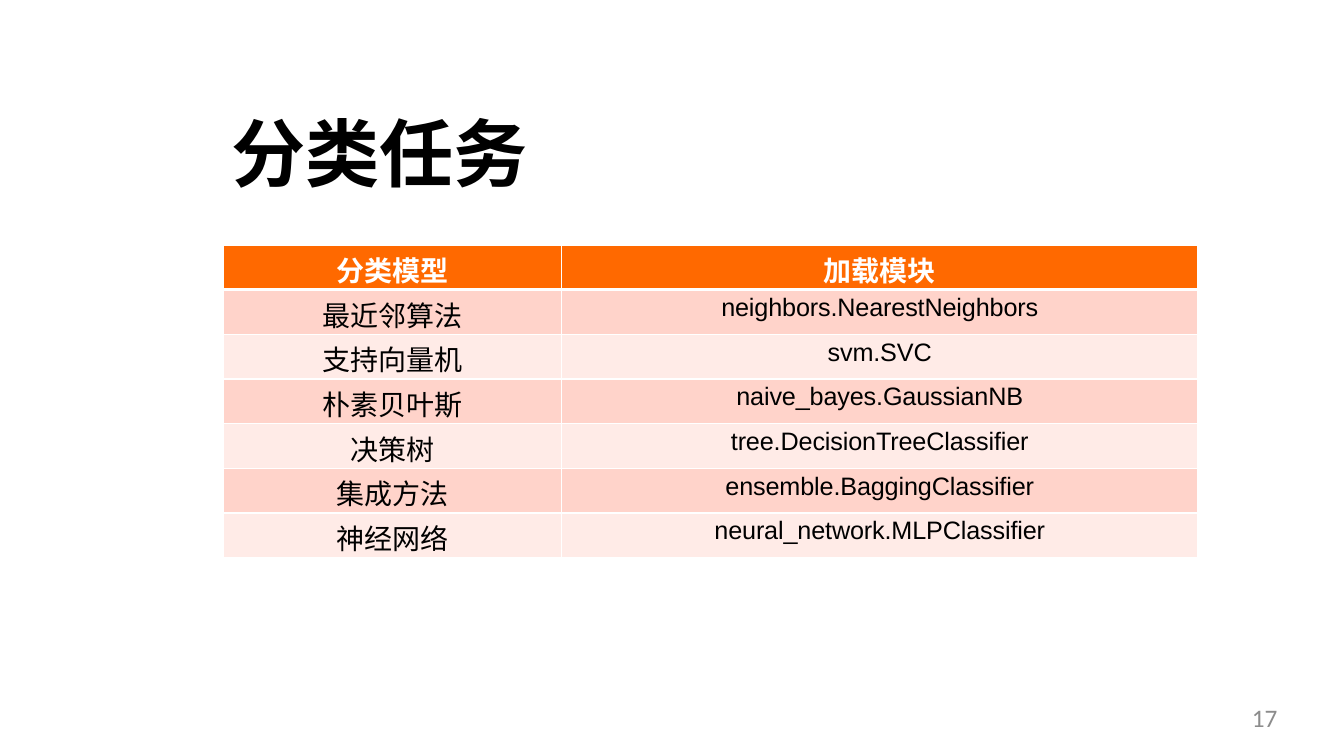
from dataclasses import dataclass

import pptx
import pptx.dml.color
import pptx.enum.text
import pptx.oxml
import pptx.oxml.ns
import pptx.util
from pptx.util import Inches


@dataclass(frozen=True)
class Theme:
    header: str = "FF6900"
    bands: tuple = ("FFD3CA", "FFEBE7")
    white: str = "FFFFFF"
    black: str = "000000"
    gray: str = "8C8C8C"
    cjk: str = "Noto Sans CJK SC"
    latin: str = "Arial"
    number: str = "Calibri"
    title_size: int = 53
    model_size: int = 20
    small_size: int = 18


THEME = Theme()
ALIGN = pptx.enum.text.PP_ALIGN
ANCHOR = pptx.enum.text.MSO_ANCHOR

MODELS = [
    ("分类模型", "加载模块"),
    ("最近邻算法", "neighbors.NearestNeighbors"),
    ("支持向量机", "svm.SVC"),
    ("朴素贝叶斯", "naive_bayes.GaussianNB"),
    ("决策树", "tree.DecisionTreeClassifier"),
    ("集成方法", "ensemble.BaggingClassifier"),
    ("神经网络", "neural_network.MLPClassifier"),
]


def write(tf, text, size, font, color, bold=False, align=ALIGN.LEFT, spacing=0):
    tf.text = text
    p = tf.paragraphs[0]
    p.alignment = align
    r = p.runs[0]
    r.font.size = pptx.util.Pt(size)
    r.font.bold = bold
    r.font.color.rgb = pptx.dml.color.RGBColor.from_string(color)
    r.font.name = font
    rPr = r.font._element
    ea = pptx.oxml.parse_xml(
        f'<a:ea {pptx.oxml.ns.nsdecls("a")} typeface="{THEME.cjk}"/>')
    rPr.find(pptx.oxml.ns.qn("a:latin")).addnext(ea)
    if spacing:
        rPr.set("spc", str(spacing))


def set_borders(cell, top, bottom):
    tcPr = cell._tc.get_or_add_tcPr()
    widths = {"lnL": 1, "lnR": 1, "lnT": top, "lnB": bottom}
    for i, (side, width) in enumerate(widths.items()):
        line = pptx.oxml.parse_xml(
            f'<a:{side} {pptx.oxml.ns.nsdecls("a")} w="{pptx.util.Pt(width)}">'
            f'<a:solidFill><a:srgbClr val="{THEME.white}"/></a:solidFill></a:{side}>')
        tcPr.insert(i, line)


def add_label(s, left, top, width, height, *text, anchor=ANCHOR.TOP, **style):
    tb = s.shapes.add_textbox(Inches(left), Inches(top), Inches(width), Inches(height))
    tf = tb.text_frame
    tf.word_wrap = True
    tf.vertical_anchor = anchor
    tf.margin_left = tf.margin_right = tf.margin_top = tf.margin_bottom = 0
    write(tf, *text, **style)


def add_model_table(s, left, top, width, height):
    tbl = s.shapes.add_table(len(MODELS), 2, Inches(left), Inches(top),
                             Inches(width), Inches(height)).table
    first = 3.35
    tbl.columns[0].width = Inches(first)
    tbl.columns[1].width = Inches(width - first)
    for i, row in enumerate(MODELS):
        head = i == 0
        fill = THEME.header if head else THEME.bands[(i - 1) % 2]
        color = THEME.white if head else THEME.black
        for j, text in enumerate(row):
            cell = tbl.cell(i, j)
            cell.margin_left = cell.margin_right = cell.margin_bottom = 0
            cell.margin_top = Inches(0.04)
            cell.fill.solid()
            cell.fill.fore_color.rgb = pptx.dml.color.RGBColor.from_string(fill)
            module = j == 1 and not head
            write(cell.text_frame, text,
                  THEME.small_size if module else THEME.model_size,
                  THEME.latin if module else THEME.cjk,
                  color, bold=head, align=ALIGN.CENTER,
                  spacing=-10 if module else 0)
            set_borders(cell, 3 if i == 1 else 1, 3 if head else 1)


def main():
    prs = pptx.Presentation()
    prs.slide_width = Inches(13.33)
    prs.slide_height = Inches(7.5)
    s = prs.slides.add_slide(prs.slide_layouts[6])
    add_model_table(s, 2.22, 2.43, 9.66, 2.87)
    add_label(s, 2.3, 1.05, 5.5, 0.91, "分类任务", THEME.title_size, THEME.latin,
              THEME.black, bold=True, spacing=-30, anchor=ANCHOR.MIDDLE)
    add_label(s, 9.6, 6.97, 3.07, 0.38, "17", THEME.small_size, THEME.number,
              THEME.gray, align=ALIGN.RIGHT)
    prs.save("out.pptx")


if __name__ == "__main__":
    main()
